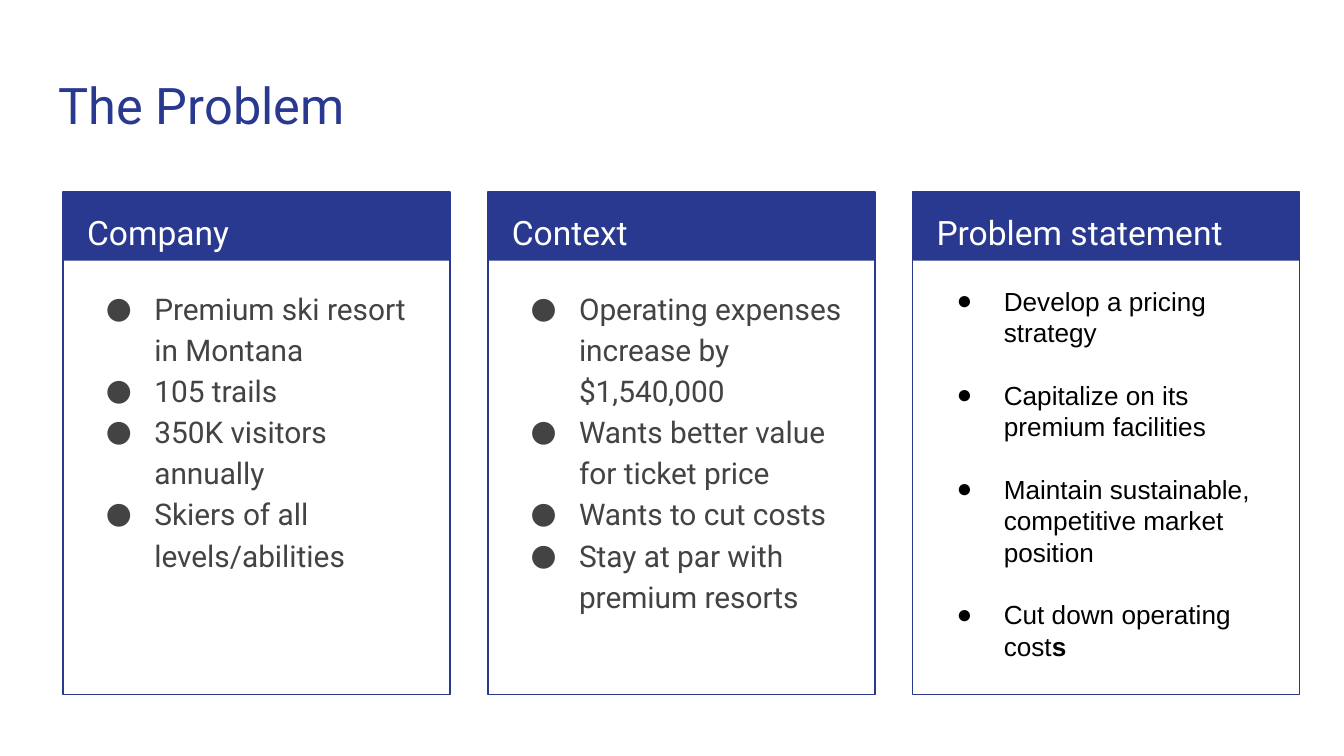
from lxml import etree
from pptx import Presentation
from pptx.dml.color import RGBColor
from pptx.enum import shapes, text
from pptx.oxml.ns import qn
from pptx.util import Inches, Pt

NAVY = RGBColor(0x2A, 0x39, 0x90)
GREY = RGBColor(0x43, 0x43, 0x43)
BLACK = RGBColor(0, 0, 0)
WHITE = RGBColor(255, 255, 255)

CARD_W, CARD_H, HEAD_H = 2.88, 3.74, 0.51
CARD_X, CARD_Y, CARD_STEP = 0.47, 1.43, 3.16

# Each bullet is a list of (words, bold) runs
COMPANY = [
    [("Premium ski resort in Montana", False)],
    [("105 trails", False)],
    [("350K visitors annually", False)],
    [("Skiers of all levels/abilities", False)],
]
CONTEXT = [
    [("Operating expenses increase by $1,540,000", False)],
    [("Wants better value for ticket price", False)],
    [("Wants to cut costs", False)],
    [("Stay at par with premium resorts", False)],
]
STATEMENT = [
    [("Develop a pricing strategy", False)],
    [("Capitalize on its premium facilities", False)],
    [("Maintain sustainable, competitive market position", False)],
    [("Cut down operating cost", False), ("s", True)],
]

# Font, size, colour, line spacing, space after, hanging indent
ROOMY = ("Roboto", 16, GREY, 1.15, 0, 0.36)
SPACED = ("Arial", 14, BLACK, Pt(16.8), 16.8, 0.35)


def add_text_frame(s, x, y, w, h):
    tb = s.shapes.add_textbox(Inches(x), Inches(y), Inches(w), Inches(h))
    tf = tb.text_frame
    tf.word_wrap = True
    tf.vertical_anchor = text.MSO_ANCHOR.TOP
    tf.margin_left = tf.margin_right = Inches(0.1)
    tf.margin_top = tf.margin_bottom = Inches(0.1)
    return tf


def add_run(p, words, font, size, color, bold=False):
    r = p.add_run()
    r.text = words
    r.font.name = font
    r.font.size = Pt(size)
    r.font.color.rgb = color
    r.font.bold = bold


def add_rect(s, x, y, w, h):
    sp = s.shapes.add_shape(shapes.MSO_SHAPE.RECTANGLE,
                            Inches(x), Inches(y), Inches(w), Inches(h))
    sp.shadow.inherit = False
    return sp


def set_bullet(p, font, color, hang):
    pPr = p._p.get_or_add_pPr()
    pPr.set("marL", str(Inches(0.5)))
    pPr.set("indent", str(-Inches(hang)))
    clr = etree.SubElement(pPr, qn("a:buClr"))
    etree.SubElement(clr, qn("a:srgbClr"), val=str(color))
    etree.SubElement(pPr, qn("a:buFont"), typeface=font)
    etree.SubElement(pPr, qn("a:buChar"), char="●")


def add_title(s, x, y, w, h):
    tf = add_text_frame(s, x, y, w, h)
    add_run(tf.paragraphs[0], "The Problem", "Roboto", 27, NAVY)


def add_card(s, x, y, heading, bullets, style):
    # Header band and outline
    band = add_rect(s, x, y, CARD_W, HEAD_H)
    band.fill.solid()
    band.fill.fore_color.rgb = NAVY
    band.line.fill.background()
    frame = add_rect(s, x, y, CARD_W, CARD_H)
    frame.fill.background()
    frame.line.color.rgb = NAVY
    frame.line.width = Pt(0.75)

    # Heading
    p = add_text_frame(s, x + 0.08, y, 2.73, 0.5).paragraphs[0]
    p.line_spacing = 1.15
    add_run(p, heading, "Roboto", 18, WHITE)

    # Bullet list
    font, size, color, leading, after, hang = style
    tf = add_text_frame(s, x + 0.08, y + 0.59, 2.75, 3.06)
    for i, runs in enumerate(bullets):
        p = tf.add_paragraph() if i else tf.paragraphs[0]
        p.line_spacing = leading
        p.space_after = Pt(after)
        set_bullet(p, font, color, hang)
        for words, bold in runs:
            add_run(p, words, font, size, color, bold)


def main():
    prs = Presentation()
    prs.slide_width = Inches(10)
    prs.slide_height = prs.slide_width * 9 // 16
    s = prs.slides.add_slide(prs.slide_layouts[6])

    add_title(s, 0.34, 0.45, 9.32, 0.66)
    cards = [("Company", COMPANY, ROOMY),
             ("Context", CONTEXT, ROOMY),
             ("Problem statement", STATEMENT, SPACED)]
    for i, card in enumerate(cards):
        add_card(s, CARD_X + i * CARD_STEP, CARD_Y, *card)

    prs.save("out.pptx")


if __name__ == "__main__":
    main()
